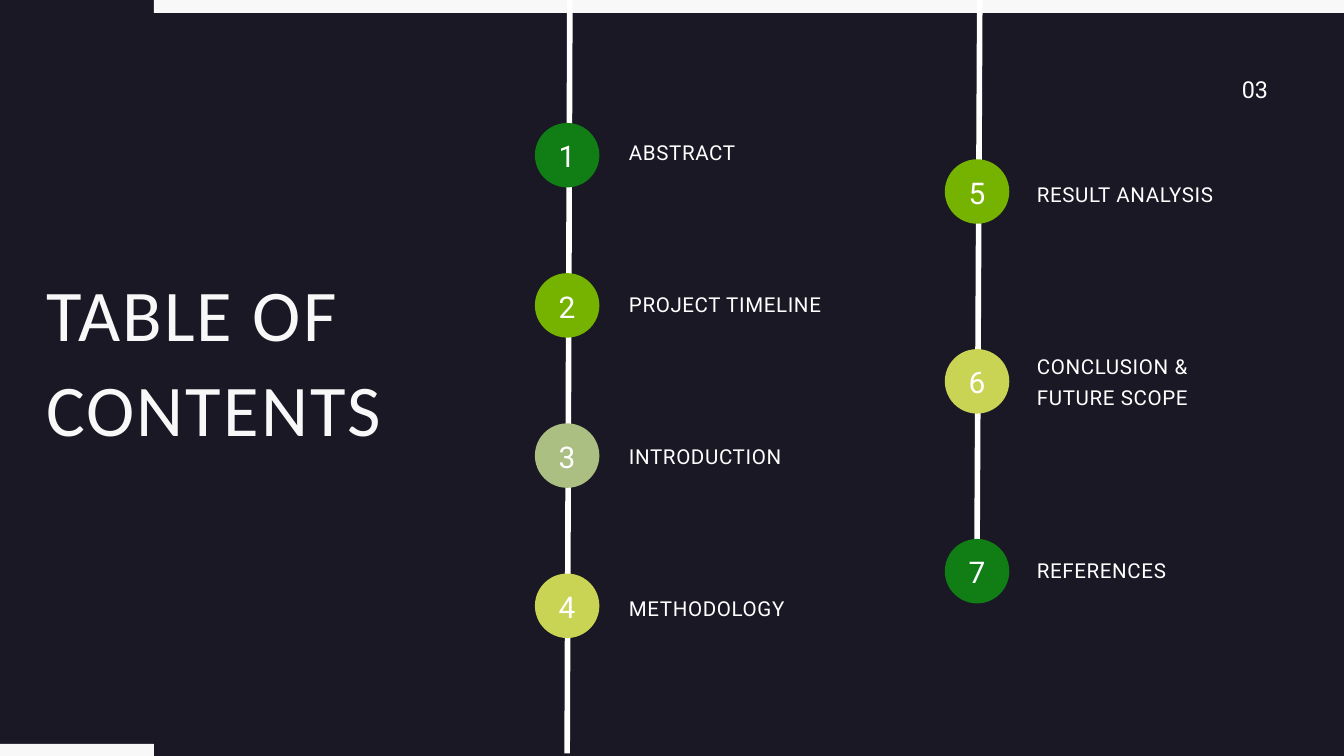
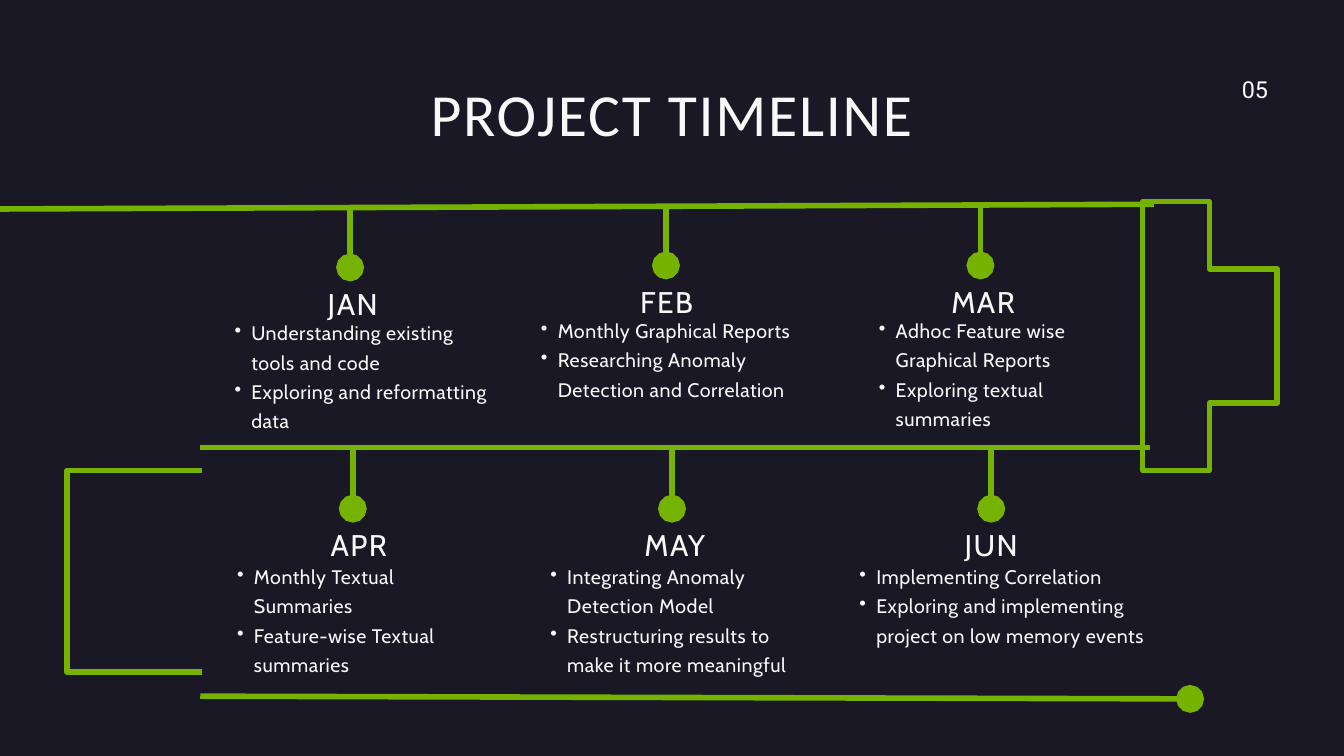
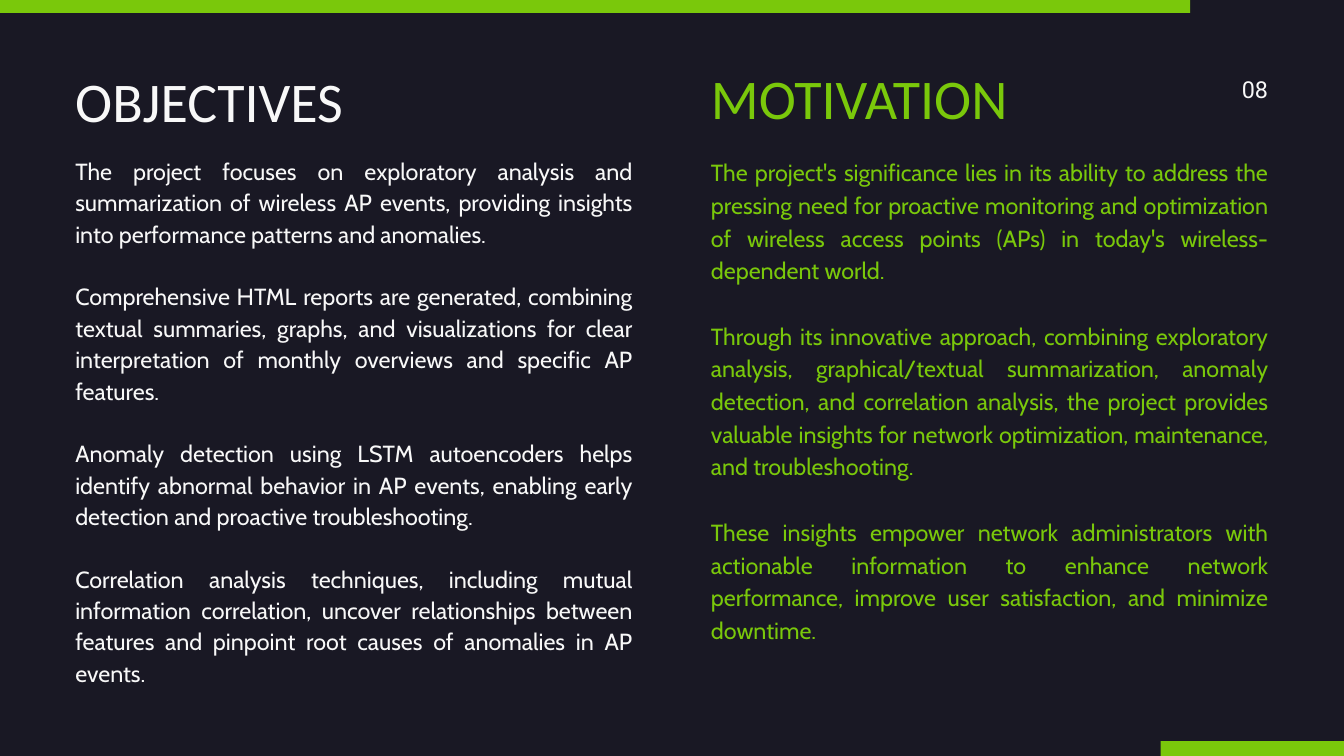
"""Builds three dark slides: a table of contents, a project timeline, and objectives with motivation."""
import math

import pptx
import pptx.dml.color
import pptx.enum.shapes
import pptx.enum.text
import pptx.oxml
import pptx.oxml.ns
import pptx.util

Inches = pptx.util.Inches
Pt = pptx.util.Pt
RGB = pptx.dml.color.RGBColor.from_string
SHAPE = pptx.enum.shapes.MSO_SHAPE
ALIGN = pptx.enum.text.PP_ALIGN
COLORS = {
    "back": "191824", "white": "FFFFFF", "pale": "F8F8F8",
    "forest": "117D15", "green": "76B200", "sage": "AABF81",
    "lime": "CAD454", "bright": "7AC80B",
}
NS = pptx.oxml.ns.nsdecls("a")


def write(frame, lines, size, lead, font="Cabin", color="pale", align=ALIGN.LEFT,
          space=0, gap=0, bullet=False):
    frame.word_wrap = True
    frame.margin_left = frame.margin_right = frame.margin_top = frame.margin_bottom = 0
    frame.text = "\n".join(lines)
    for i, para in enumerate(frame.paragraphs):
        para.alignment = align
        para.line_spacing = Pt(lead)
        if i and gap:
            para.space_before = Pt(gap)
        if bullet:
            para.level = 1
            props = para._p.get_or_add_pPr()
            props.set("marL", str(Inches(0.5)))
            props.set("indent", str(Inches(-0.25)))
            props.append(pptx.oxml.parse_xml(f'<a:buChar {NS} char="•"/>'))
        for run in para.runs:
            run.font.name = font
            run.font.size = Pt(size)
            run.font.color.rgb = RGB(COLORS[color])
            if space:
                run._r.get_or_add_rPr().set("spc", str(round(space * 100)))


def draw(slide, x1, y1, x2, y2, color="green", dot=False):
    line = slide.shapes.add_connector(
        pptx.enum.shapes.MSO_CONNECTOR.STRAIGHT,
        Inches(x1), Inches(y1), Inches(x2), Inches(y2))
    line.line.width = Pt(6)
    line.line.color.rgb = RGB(COLORS[color])
    if dot:
        line.line._get_or_add_ln().append(
            pptx.oxml.parse_xml(f'<a:tailEnd {NS} type="oval" w="lg" len="lg"/>'))
    line._element.spPr.append(pptx.oxml.parse_xml(f"<a:effectLst {NS}/>"))


deck = pptx.Presentation()
deck.slide_width, deck.slide_height = Inches(20), Inches(11.25)

slides = []
for number, tint in (("03", "white"), ("05", "white"), ("08", "pale")):
    slide = deck.slides.add_slide(deck.slide_layouts[6])
    slide.background.fill.solid()
    slide.background.fill.fore_color.rgb = RGB(COLORS["back"])
    box = slide.shapes.add_textbox(Inches(17.48), Inches(1.12), Inches(1.39), Inches(0.41))
    write(box.text_frame, [number], 25, 30, "Roboto", tint, ALIGN.RIGHT)
    slides.append(slide)
contents, timeline, goals = slides

for slide, color, *area in (
    (contents, "pale", 0, 11.07, 2.29, 0.18),
    (contents, "pale", 2.29, 0, 17.71, 0.19),
    (goals, "bright", 0, 0, 17.71, 0.19),
    (goals, "bright", 17.27, 11.03, 2.73, 0.22),
):
    bar = slide.shapes.add_shape(SHAPE.RECTANGLE, *map(Inches, area))
    bar.shadow.inherit = False
    bar.fill.solid()
    bar.fill.fore_color.rgb = RGB(COLORS[color])
    bar.line.fill.background()

for slide, lines, area, size, lead, space, color, align in (
    (contents, "TABLE OF CONTENTS", (0.69, 3.89, 6.83, 2.8), 78, 101.4, 2.3, "pale", ALIGN.LEFT),
    (timeline, "PROJECT TIMELINE", (1.12, 1.06, 17.75, 1.14), 64, 83.2, 1.9, "pale", ALIGN.CENTER),
    (goals, "OBJECTIVES", (1.12, 1.08, 7.44, 0.96), 60, 66, 0, "pale", ALIGN.LEFT),
    (goals, "MOTIVATION", (10.58, 0.94, 6.43, 1.02), 60, 72, 0, "bright", ALIGN.JUSTIFY),
):
    box = slide.shapes.add_textbox(*map(Inches, area))
    write(box.text_frame, [lines], size, lead, "Calibri", color, align, space)

draw(contents, 8.44, 11.21, 8.48, 0, "white")
draw(contents, 14.54, 8.11, 14.58, 0, "white")

columns = (
    (7.96, 1.83, 2.235, 9.36, (
        ("ABSTRACT", "forest", 1.99), ("PROJECT TIMELINE", "green", 4.26),
        ("INTRODUCTION", "sage", 6.52), ("METHODOLOGY", "lime", 8.78))),
    (14.06, 2.37, 2.825, 15.43, (
        ("RESULT ANALYSIS", "green", 2.61), ("CONCLUSION & FUTURE SCOPE", "lime", 5.18),
        ("REFERENCES", "forest", 8.21))),
)
count = 0
for left, top, step, label, items in columns:
    for row, (name, color, high) in enumerate(items):
        count += 1
        disc = contents.shapes.add_shape(
            SHAPE.OVAL, Inches(left), Inches(top + row * step), Inches(0.96), Inches(0.96))
        disc.shadow.inherit = False
        disc.fill.solid()
        disc.fill.fore_color.rgb = RGB(COLORS[color])
        disc.line.fill.background()
        disc.text_frame.vertical_anchor = pptx.enum.text.MSO_ANCHOR.MIDDLE
        write(disc.text_frame, [str(count)], 32, 40, "Roboto", "white", ALIGN.CENTER, 1)
        tall = 0.87 if "&" in name else 0.42
        box = contents.shapes.add_textbox(Inches(label), Inches(high), Inches(3.44), Inches(tall))
        write(box.text_frame, [name], 22, 33, "Roboto", "white", space=0.7)

for x, y, wide, tall, close in ((17.1, 4.85, 1.85, 1.81, True), (2.98, 8.51, -1.85, 1.85, False)):
    arc = [(x + wide * math.cos(a), y + tall * math.sin(a))
           for a in (math.radians(d) for d in range(-90, 91, 3))]
    path = timeline.shapes.build_freeform(*arc[0], scale=Inches(1))
    path.add_line_segments(arc[1:], close=close)
    bend = path.convert_to_shape()
    bend.shadow.inherit = False
    bend.fill.background()
    bend.line.width = Pt(6)
    bend.line.color.rgb = RGB(COLORS["green"])

draw(timeline, 2.98, 10.36, 17.71, 10.4, dot=True)
draw(timeline, 2.98, 6.66, 17.11, 6.66)
draw(timeline, 0, 3.11, 17.17, 3.04)

months = (
    ("JAN", 5.21, 3.07, 5.25, 3.24, 4.69, 4.03,
     ("Understanding existing tools and code", "Exploring and reformatting data")),
    ("FEB", 9.91, 3.04, 9.92, 7.8, 4.66, 4.22,
     ("Monthly Graphical Reports", "Researching Anomaly Detection and Correlation")),
    ("MAR", 14.59, 3.04, 14.63, 12.83, 4.66, 3.87,
     ("Adhoc Feature wise Graphical Reports", "Exploring textual summaries")),
    ("APR", 5.25, 6.66, 5.34, 3.28, 8.32, 4.03,
     ("Monthly Textual Summaries", "Feature-wise Textual summaries")),
    ("MAY", 10, 6.66, 10.04, 7.94, 8.32, 4.03,
     ("Integrating Anomaly Detection Model", "Restructuring results to make it more meaningful")),
    ("JUN", 14.75, 6.66, 14.75, 12.54, 8.32, 4.49,
     ("Implementing Correlation", "Exploring and implementing project on low memory events")),
)
for name, stem, top, mid, left, high, wide, tasks in months:
    draw(timeline, stem, top, stem, top + 0.91, dot=True)
    box = timeline.shapes.add_textbox(
        Inches(mid - 1.72), Inches(top + 1.14), Inches(3.44), Inches(0.57))
    write(box.text_frame, [name], 32, 41.6, align=ALIGN.CENTER, space=1.6)
    box = timeline.shapes.add_textbox(Inches(left), Inches(high), Inches(wide), Inches(1.74))
    write(box.text_frame, tasks, 21, 31.5, space=0.6, bullet=True)

aims = (
    "The project focuses on exploratory analysis and summarization of wireless AP events, "
    "providing insights into performance patterns and anomalies.",
    "Comprehensive HTML reports are generated, combining textual summaries, graphs, and "
    "visualizations for clear interpretation of monthly overviews and specific AP features.",
    "Anomaly detection using LSTM autoencoders helps identify abnormal behavior in AP events, "
    "enabling early detection and proactive troubleshooting.",
    "Correlation analysis techniques, including mutual information correlation, uncover "
    "relationships between features and pinpoint root causes of anomalies in AP events.",
)
motives = (
    "The project's significance lies in its ability to address the pressing need for proactive "
    "monitoring and optimization of wireless access points (APs) in today's "
    "wireless-dependent world.",
    "Through its innovative approach, combining exploratory analysis, graphical/textual "
    "summarization, anomaly detection, and correlation analysis, the project provides valuable "
    "insights for network optimization, maintenance, and troubleshooting.",
    "These insights empower network administrators with actionable information to enhance "
    "network performance, improve user satisfaction, and minimize downtime.",
)
for left, tall, lines, lead, color in (
    (1.12, 8.07, aims, 33.6, "pale"), (10.58, 7.82, motives, 35, "bright"),
):
    box = goals.shapes.add_textbox(Inches(left), Inches(2.29), Inches(8.29), Inches(tall))
    write(box.text_frame, lines, 25, lead, color=color, align=ALIGN.JUSTIFY, gap=lead)

deck.save("out.pptx")
